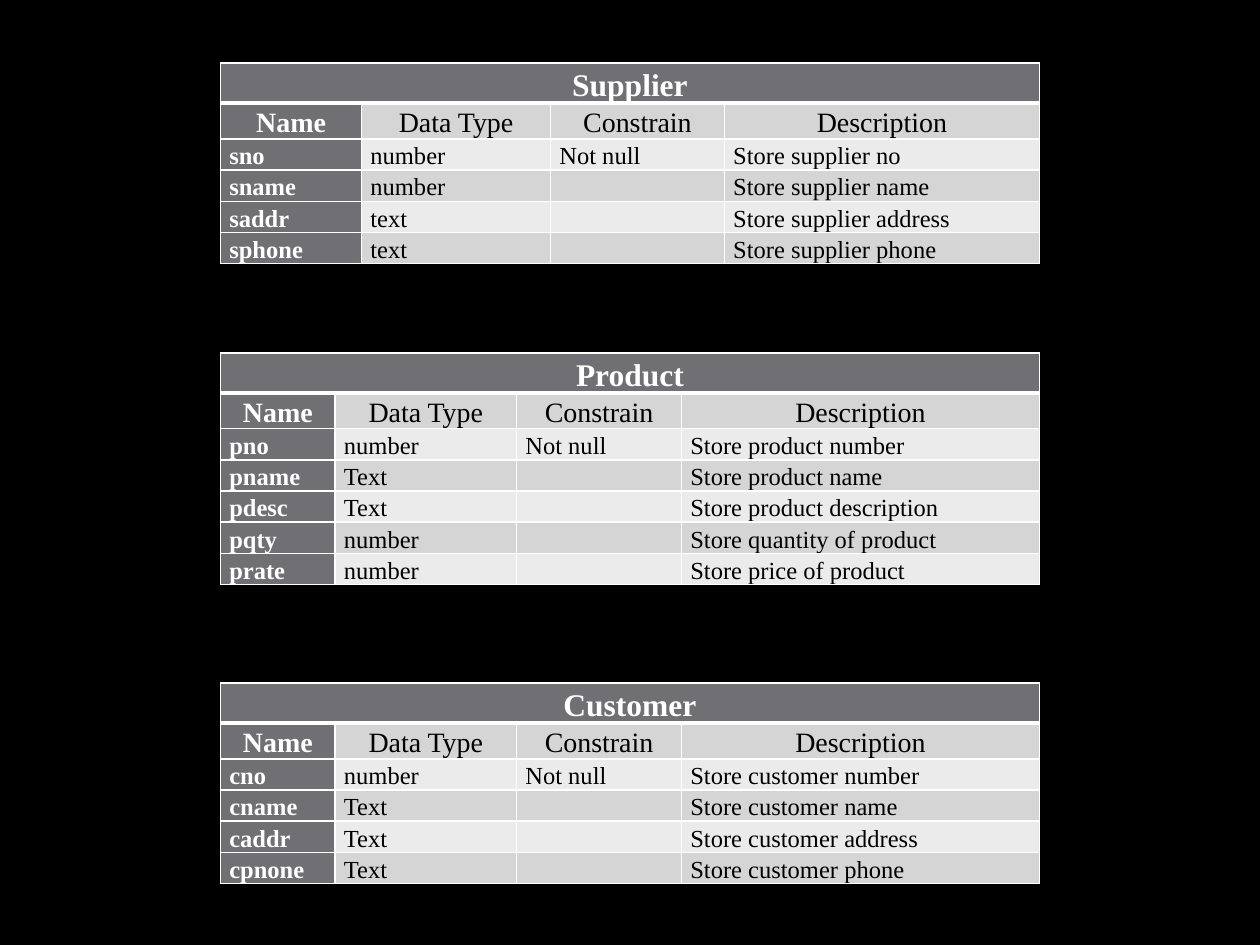
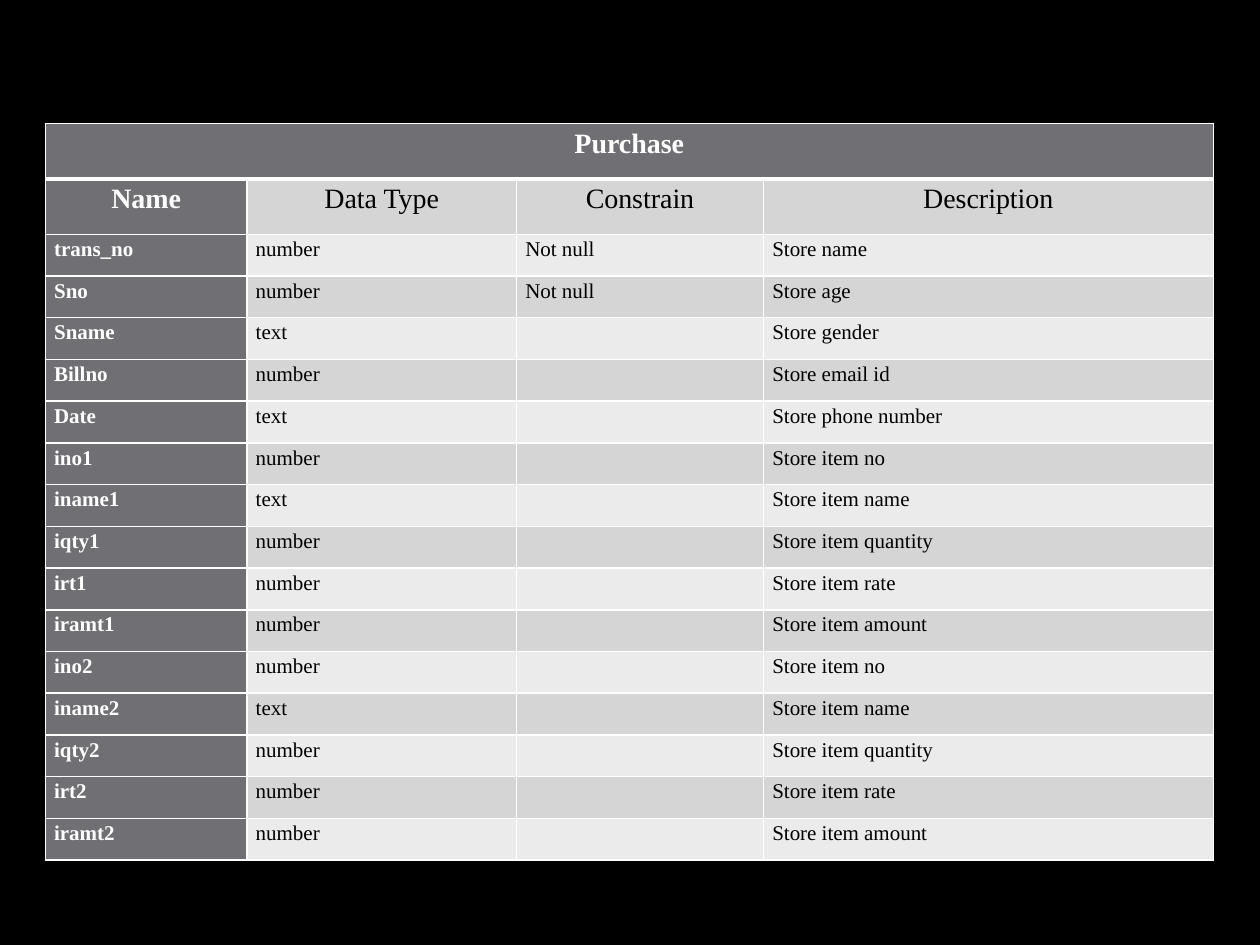
from dataclasses import dataclass

from lxml import etree
from pptx import Presentation
from pptx.dml.color import RGBColor
from pptx.enum.text import PP_ALIGN
from pptx.oxml.ns import qn
from pptx.util import Emu, Pt

CENTER, LEFT = PP_ALIGN.CENTER, PP_ALIGN.LEFT
PX = 9144
SLIDE_SIZE = (1000, 750)
HEADINGS = ("Name", "Data Type", "Constrain", "Description")


@dataclass(frozen=True)
class Theme:
    background: str = "000000"
    dark: str = "6F6F74"
    bands: tuple = ("EBEBEB", "D5D5D6")
    light_text: str = "FFFFFF"
    dark_text: str = "000000"
    border: str = "FFFFFF"
    font: str = "Times New Roman"
    line_spacing: float = 1.15
    side_inset: int = 7
    thin: int = 1
    thick: int = 3


@dataclass(frozen=True)
class Density:
    type_sizes: tuple
    row_heights: tuple


THEME = Theme()
COMPACT = Density(type_sizes=(18, 16, 14), row_heights=(31, 27, 24))
ROOMY = Density(type_sizes=(16, 16, 12), row_heights=(44, 44, 33.13))

SUPPLIER = [
    ("sno", "number", "Not null", "Store supplier no"),
    ("sname", "number", "", "Store supplier name"),
    ("saddr", "text", "", "Store supplier address"),
    ("sphone", "text", "", "Store supplier phone"),
]
PRODUCT = [
    ("pno", "number", "Not null", "Store product number"),
    ("pname", "Text", "", "Store product name"),
    ("pdesc", "Text", "", "Store product description"),
    ("pqty", "number", "", "Store quantity of product"),
    ("prate", "number", "", "Store price of product"),
]
CUSTOMER = [
    ("cno", "number", "Not null", "Store customer number"),
    ("cname", "Text", "", "Store customer name"),
    ("caddr", "Text", "", "Store customer address"),
    ("cpnone", "Text", "", "Store customer phone"),
]
ITEM_FIELDS = [
    ("ino", "number", "Store item no"),
    ("iname", "text", "Store item name"),
    ("iqty", "number", "Store item quantity"),
    ("irt", "number", "Store item rate"),
    ("iramt", "number", "Store item amount"),
]
PURCHASE = [
    ("trans_no", "number", "Not null", "Store name"),
    ("Sno", "number", "Not null", "Store age"),
    ("Sname", "text", "", "Store gender"),
    ("Billno", "number", "", "Store email id"),
    ("Date", "text", "", "Store phone number"),
] + [
    (f"{name}{number}", kind, "", description)
    for number in (1, 2)
    for name, kind, description in ITEM_FIELDS
]

WIDE_NAMES = (112, 150, 138, 250)
NARROW_NAMES = (91, 144, 131, 284)
FULL_WIDTH = (160, 214, 196, 357)

PAGES = [
    [
        ("Supplier", SUPPLIER, (175, 50), WIDE_NAMES, COMPACT),
        ("Product", PRODUCT, (175, 280), NARROW_NAMES, COMPACT),
        ("Customer", CUSTOMER, (175, 542), NARROW_NAMES, COMPACT),
    ],
    [("Purchase", PURCHASE, (36, 98), FULL_WIDTH, ROOMY)],
]


def px(length):
    return Emu(round(length * PX))


def set_borders(cell, row):
    properties = cell._tc.get_or_add_tcPr()
    widths = {
        "a:lnL": THEME.thin,
        "a:lnR": THEME.thin,
        "a:lnT": THEME.thick if row == 1 else THEME.thin,
        "a:lnB": THEME.thick if row == 0 else THEME.thin,
    }
    for side, width in widths.items():
        line = etree.SubElement(properties, qn(side), w=str(Pt(width)))
        fill = etree.SubElement(line, qn("a:solidFill"))
        etree.SubElement(fill, qn("a:srgbClr"), val=THEME.border)


def fill_cell(cell, text, row, column, size):
    is_dark = row == 0 or column == 0
    set_borders(cell, row)
    cell.fill.solid()
    cell.fill.fore_color.rgb = RGBColor.from_string(
        THEME.dark if is_dark else THEME.bands[row % 2]
    )
    cell.margin_left = cell.margin_right = px(THEME.side_inset)
    cell.margin_top = cell.margin_bottom = 0
    para = cell.text_frame.paragraphs[0]
    para.alignment = CENTER if row < 2 else LEFT
    para.line_spacing = THEME.line_spacing
    if not text:
        para._p.get_or_add_endParaRPr().set("sz", str(size * 100))
        return
    span = para.add_run()
    span.text = text
    span.font.name = THEME.font
    span.font.size = Pt(size)
    span.font.bold = is_dark
    span.font.color.rgb = RGBColor.from_string(
        THEME.light_text if is_dark else THEME.dark_text
    )


def add_schema(page, title, fields, position, widths, density):
    rows = [(title, "", "", ""), HEADINGS, *fields]
    levels = [min(row, 2) for row in range(len(rows))]
    heights = [density.row_heights[level] for level in levels]
    frame = page.shapes.add_table(
        len(rows), len(widths),
        *map(px, (*position, sum(widths), sum(heights))),
    )
    table = frame.table
    table.first_row = table.horz_banding = False
    for column, width in zip(table.columns, widths):
        column.width = px(width)
    for row, texts in enumerate(rows):
        table.rows[row].height = px(heights[row])
        for column, text in enumerate(texts):
            size = density.type_sizes[levels[row]]
            fill_cell(table.cell(row, column), text, row, column, size)
    table.cell(0, 0).merge(table.cell(0, len(widths) - 1))


def main():
    deck = Presentation()
    deck.slide_width, deck.slide_height = map(px, SLIDE_SIZE)
    for schemas in PAGES:
        page = deck.slides.add_slide(deck.slide_layouts[6])
        page.background.fill.solid()
        page.background.fill.fore_color.rgb = RGBColor.from_string(THEME.background)
        for schema in schemas:
            add_schema(page, *schema)
    deck.save("out.pptx")


if __name__ == "__main__":
    main()
